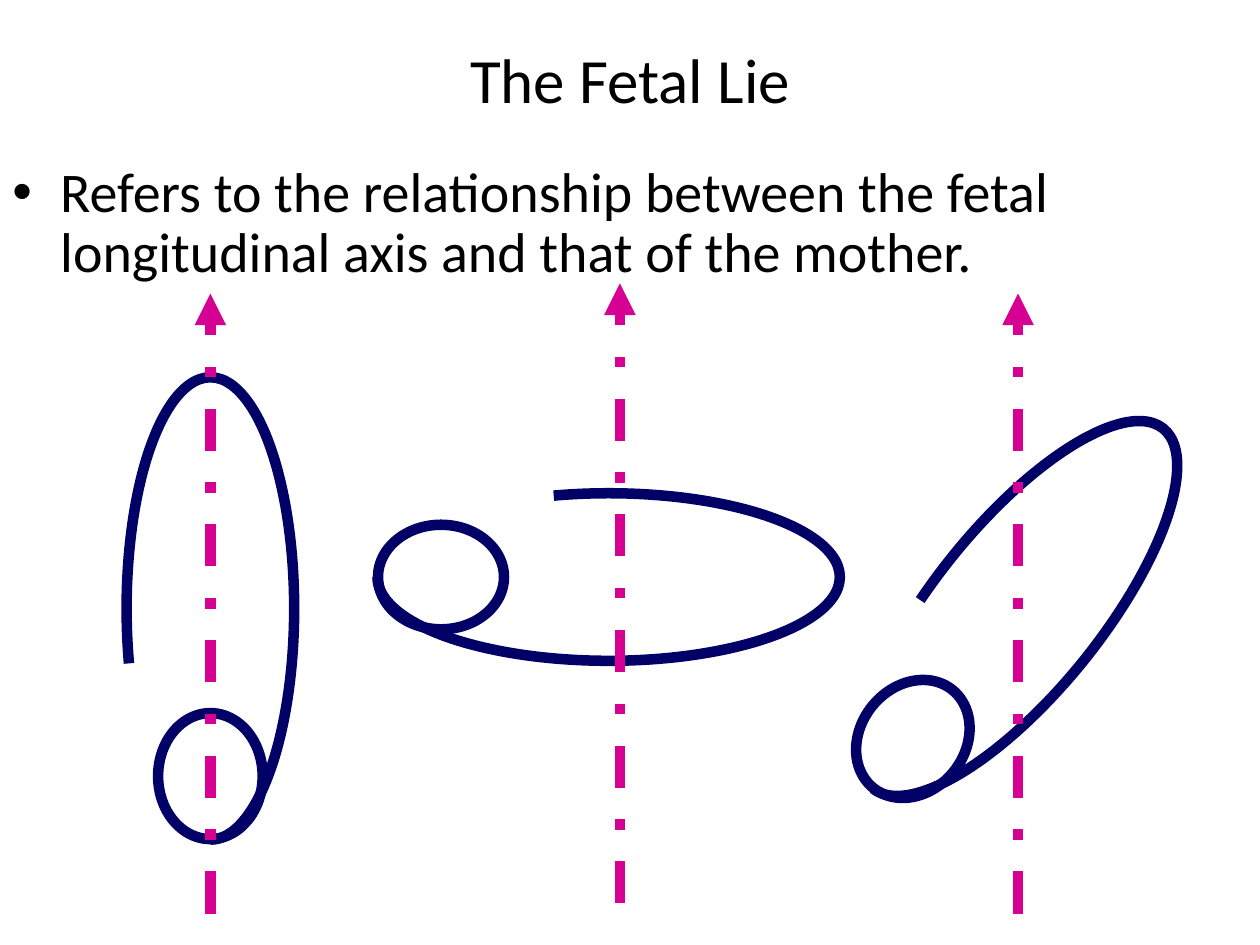
from dataclasses import dataclass
from math import cos, radians, sin

from lxml import etree
from pptx import Presentation
from pptx.dml.color import RGBColor
from pptx.enum.dml import MSO_LINE
from pptx.enum.shapes import MSO_CONNECTOR, MSO_SHAPE
from pptx.enum.text import MSO_ANCHOR, PP_ALIGN
from pptx.oxml.ns import qn
from pptx.util import Inches, Pt

ARC, ELLIPSE = MSO_SHAPE.ARC, MSO_SHAPE.OVAL
STRAIGHT = MSO_CONNECTOR.STRAIGHT
DASH_DOT = MSO_LINE.DASH_DOT
TOP, MIDDLE = MSO_ANCHOR.TOP, MSO_ANCHOR.MIDDLE
LEFT, CENTER = PP_ALIGN.LEFT, PP_ALIGN.CENTER


@dataclass(frozen=True)
class Theme:
    font: str = "Calibri"
    text: RGBColor = RGBColor(0x00, 0x00, 0x00)
    fetus: RGBColor = RGBColor(0x00, 0x00, 0x66)
    axis: RGBColor = RGBColor(0xD6, 0x00, 0x93)
    title_size: int = 36
    body_size: int = 32
    line_width: int = 6


BODY_SIZE = (1.33, 3.67)
HEAD_SIZE = (0.83, 1)
HEAD_DISTANCE = 1.33
BODY_ARC = (146, 90)
ARC_UNITS_PER_DEGREE = 0.6
AXIS_LENGTH = 4.92

FETUSES = [(1.67, 4.83, 0), (4.83, 4.58, 90), (8.08, 4.83, 38.9)]
MOTHER_AXES = [(1.67, 7.25), (8.08, 7.25), (4.92, 7.17)]


class SlideBuilder:
    def __init__(self, slide, theme):
        self.slide = slide
        self.theme = theme

    def text(self, text, left, top, width, height, size,
             align=LEFT, anchor=TOP, bullet=False, line_spacing=1.0):
        box = self.slide.shapes.add_textbox(
            Inches(left), Inches(top), Inches(width), Inches(height))
        frame = box.text_frame
        frame.word_wrap = True
        frame.vertical_anchor = anchor
        paragraph = frame.paragraphs[0]
        if bullet:
            properties = paragraph._p.get_or_add_pPr()
            properties.set("marL", str(Inches(0.38)))
            properties.set("indent", str(Inches(-0.38)))
            etree.SubElement(properties, qn("a:buFont"), typeface="Arial")
            etree.SubElement(properties, qn("a:buChar"), char="•")
        paragraph.text = text
        paragraph.alignment = align
        paragraph.line_spacing = line_spacing
        font = paragraph.runs[0].font
        font.name = self.theme.font
        font.size = Pt(size)
        font.color.rgb = self.theme.text

    def outline(self, shapes, kind, center_x, center_y, size, rotation):
        width, height = size
        shape = shapes.add_shape(
            kind, Inches(center_x - width / 2), Inches(center_y - height / 2),
            Inches(width), Inches(height))
        shape.rotation = rotation
        shape.shadow.inherit = False
        shape.fill.background()
        shape.line.color.rgb = self.theme.fetus
        shape.line.width = Pt(self.theme.line_width)
        return shape

    def fetus(self, center_x, center_y, rotation):
        shapes = self.slide.shapes.add_group_shape().shapes
        angle = radians(rotation)
        self.outline(shapes, ELLIPSE, center_x - HEAD_DISTANCE * sin(angle),
                     center_y + HEAD_DISTANCE * cos(angle), HEAD_SIZE, rotation)
        body = self.outline(shapes, ARC, center_x, center_y, BODY_SIZE, rotation)
        for index, degrees in enumerate(BODY_ARC):
            body.adjustments[index] = degrees * ARC_UNITS_PER_DEGREE

    def mother_axis(self, x, bottom):
        connector = self.slide.shapes.add_connector(
            STRAIGHT, Inches(x), Inches(bottom), Inches(x), Inches(bottom - AXIS_LENGTH))
        line = connector.line
        line.color.rgb = self.theme.axis
        line.width = Pt(self.theme.line_width)
        line.dash_style = DASH_DOT
        properties = connector._element.spPr
        etree.SubElement(properties.find(qn("a:ln")), qn("a:tailEnd"), type="triangle")
        etree.SubElement(properties, qn("a:effectLst"))


def main():
    theme = Theme()
    presentation = Presentation()
    presentation.slide_width = Inches(10)
    presentation.slide_height = Inches(7.5)
    slide = presentation.slides.add_slide(presentation.slide_layouts[6])
    builder = SlideBuilder(slide, theme)

    builder.text("The Fetal Lie", 0.75, 0.25, 8.5, 0.75, theme.title_size,
                 align=CENTER, anchor=MIDDLE)
    builder.text("Refers to the relationship between the fetal longitudinal axis "
                 "and that of the mother.", 0, 1.25, 10, 1.08, theme.body_size,
                 bullet=True, line_spacing=0.9)
    for fetus in FETUSES:
        builder.fetus(*fetus)
    for axis in MOTHER_AXES:
        builder.mother_axis(*axis)

    presentation.save("out.pptx")


if __name__ == "__main__":
    main()
